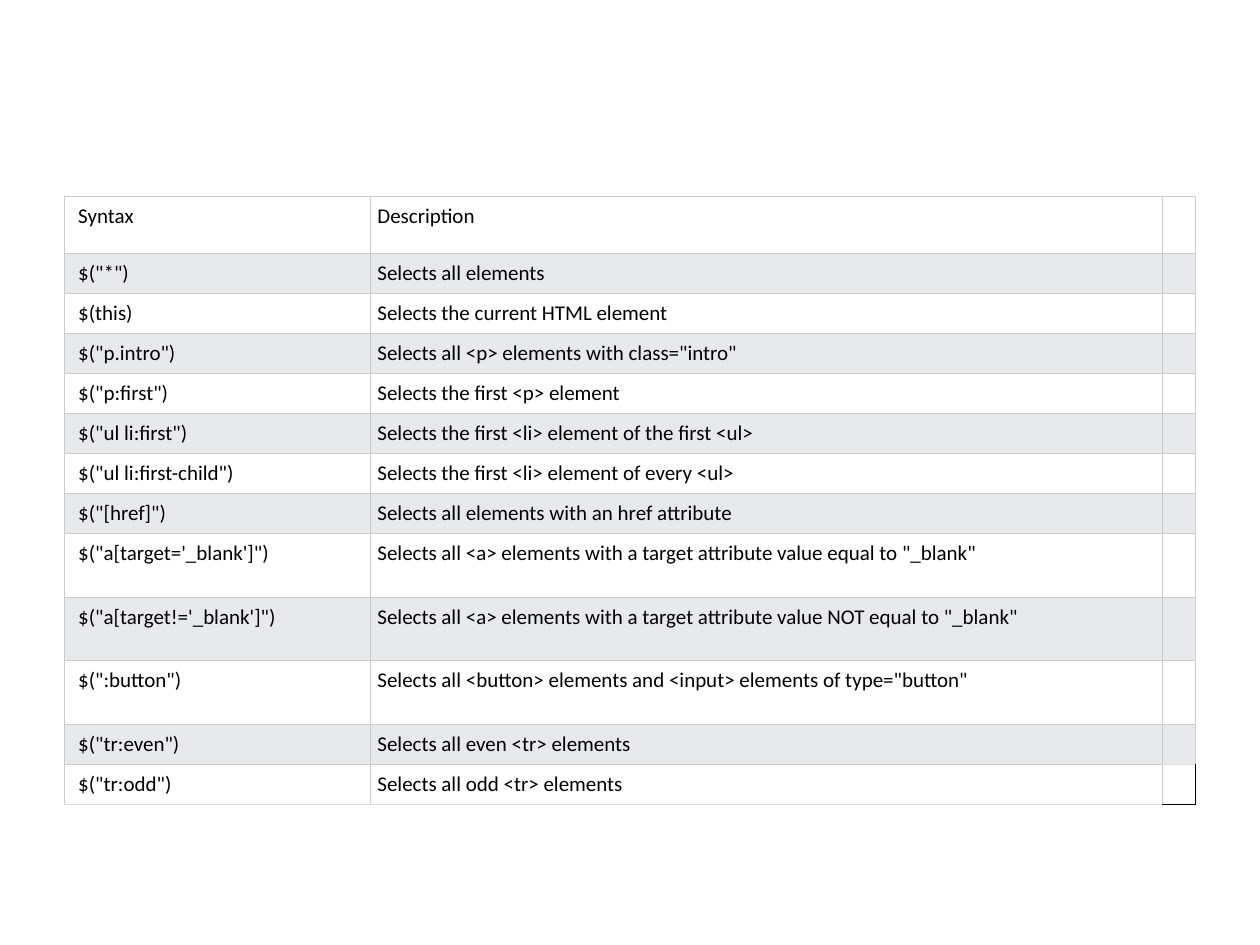
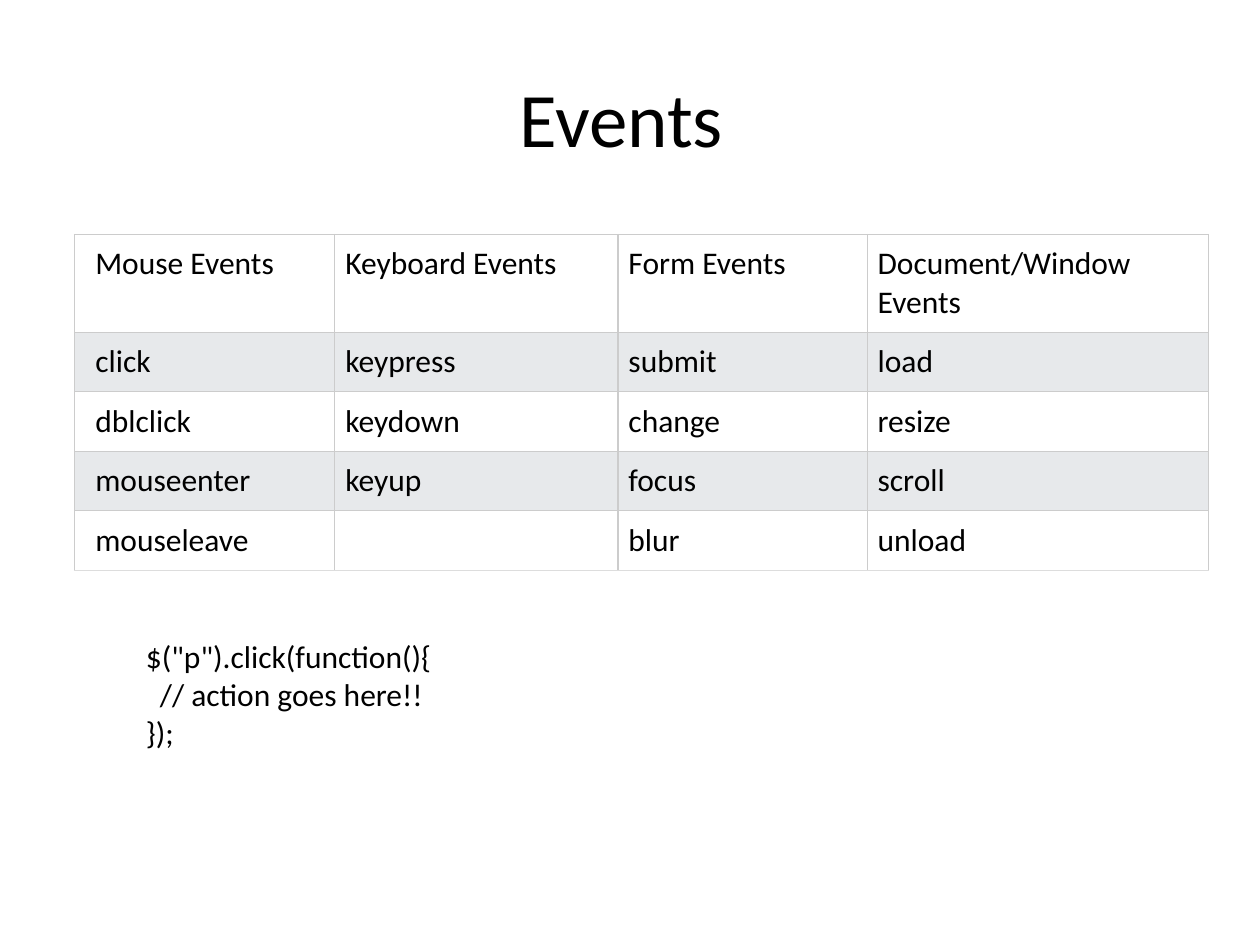
from lxml import etree
from pptx import Presentation, util as u
from pptx.dml.color import RGBColor
from pptx.enum import text as t
from pptx.oxml.ns import qn

HUES = {"ink": "000000", "page": "FFFFFF", "band": "E7E9EB",
        "rule": "CCCCCC", "foot": "DDDDDD"}
FONT = "Calibri"
WIDE, HIGH = u.Inches(10), u.Inches(7.5)

# Boxes are left, top, width, height in percent of the slide.
TITLE = (5, 4, 90, 16.67)
PICKS = (5.1, 20.75, 89.8, 64.4)
EVENTS = (5.9, 24.8, 90, 35.4)
CODE = (10.6, 66.8, 72.4, 13.5)

SYNTAX = [
    ("Syntax", "Description"),
    ('$("*")', "Selects all elements"),
    ("$(this)", "Selects the current HTML element"),
    ('$("p.intro")', 'Selects all <p> elements with class="intro"'),
    ('$("p:first")', "Selects the first <p> element"),
    ('$("ul li:first")', "Selects the first <li> element of the first <ul>"),
    ('$("ul li:first-child")', "Selects the first <li> element of every <ul>"),
    ('$("[href]")', "Selects all elements with an href attribute"),
    ("$(\"a[target='_blank']\")",
     'Selects all <a> elements with a target attribute value equal to "_blank"'),
    ("$(\"a[target!='_blank']\")",
     'Selects all <a> elements with a target attribute value NOT equal to "_blank"'),
    ('$(":button")',
     'Selects all <button> elements and <input> elements of type="button"'),
    ('$("tr:even")', "Selects all even <tr> elements"),
    ('$("tr:odd")', "Selects all odd <tr> elements"),
]
KINDS = [
    ("Mouse Events", "Keyboard Events", "Form Events", "Document/Window Events"),
    ("click", "keypress", "submit", "load"),
    ("dblclick", "keydown", "change", "resize"),
    ("mouseenter", "keyup", "focus", "scroll"),
    ("mouseleave", "", "blur", "unload"),
]


def scale(box):
    """Turn a box in percent into slide lengths."""
    return [int(part * side / 100) for part, side in zip(box, (WIDE, HIGH) * 2)]


def split(total, parts):
    """Share a length out in proportion to the parts."""
    return [int(total * part / sum(parts)) for part in parts]


def write(frame, words, size=18, hue="ink", align=t.PP_ALIGN.LEFT, dents=()):
    """Fill a frame, one paragraph a line; dents maps lines to indents in points."""
    for i, line in enumerate(words.split("\n")):
        para = frame.paragraphs[0] if i == 0 else frame.add_paragraph()
        para.alignment = align
        if i in dents:
            para._p.get_or_add_pPr().set("marL", str(u.Pt(dents[i])))
        if not line:
            etree.SubElement(para._p, qn("a:endParaRPr"), sz=str(size * 100))
            continue
        run = para.add_run()
        run.text = line
        run.font.size, run.font.name = u.Pt(size), FONT
        run.font.color.rgb = RGBColor.from_string(HUES[hue])


def edge(cell, **hues):
    """Draw the sides L, R, T and B of a cell in the named colours."""
    props = cell._tc.get_or_add_tcPr()
    for side in "LRTB":
        line = etree.SubElement(props, qn("a:ln" + side), w=str(u.Pt(0.75)))
        fill = etree.SubElement(line, qn("a:solidFill"))
        etree.SubElement(fill, qn("a:srgbClr"), val=HUES[hues.get(side, "rule")])


def grid(slide, box, data, cols, rows, size, odd=None):
    """Add a banded table; odd maps (row, column) to its own edge colours."""
    left, top, width, height = scale(box)
    table = slide.shapes.add_table(len(rows), len(cols), left, top,
                                   width, height).table
    table.first_row = table.horz_banding = False
    for col, span in zip(table.columns, split(width, cols)):
        col.width = span
    for row, span in zip(table.rows, split(height, rows)):
        row.height = span
    pad, last = u.Pt(size / 3), len(rows) - 1
    for r, line in enumerate(data):
        for c in range(len(cols)):
            cell = table.cell(r, c)
            cell.margin_left = pad if c else pad * 2
            cell.margin_right = cell.margin_top = cell.margin_bottom = pad
            plain = {"B": "foot"} if r == last else {}
            edge(cell, **(odd or {}).get((r, c), plain))
            cell.fill.solid()
            cell.fill.fore_color.rgb = RGBColor.from_string(
                HUES["band" if r % 2 else "page"])
            write(cell.text_frame, line[c] if c < len(line) else "", size)


def head(slide, words):
    title = slide.shapes.title
    title.left, title.top, title.width, title.height = scale(TITLE)
    title.text_frame.vertical_anchor = t.MSO_ANCHOR.MIDDLE
    write(title.text_frame, words, size=44, align=t.PP_ALIGN.CENTER)


def code(slide, box, words, dents):
    frame = slide.shapes.add_textbox(*scale(box)).text_frame
    frame.word_wrap = True
    frame.auto_size = t.MSO_AUTO_SIZE.SHAPE_TO_FIT_TEXT
    write(frame, words, dents=dents)


def picks(deck):
    """Slide with the table of selectors."""
    slide = deck.slides.add_slide(deck.slide_layouts[6])
    rows = [0.46] + [0.32] * 7 + [0.51] * 3 + [0.32] * 2
    end = len(rows) - 1
    grid(slide, PICKS, SYNTAX, (2.43, 6.29, 0.26), rows, 12,
         odd={(end - 1, 2): {"B": "foot"},
              (end, 2): {"T": "foot", "R": "ink", "B": "ink"}})


def events(deck):
    """Slide with the table of events and a code sample."""
    slide = deck.slides.add_slide(deck.slide_layouts[5])
    head(slide, "Events ")
    grid(slide, EVENTS, KINDS, (2.07, 2.25, 1.98, 2.71),
         [0.78] + [0.47] * 4, 18)
    code(slide, CODE, '$("p").click(function(){\n// action goes here!!\n});',
         dents={1: 8})


def main():
    deck = Presentation()
    deck.slide_width, deck.slide_height = WIDE, HIGH
    picks(deck)
    events(deck)
    deck.save("out.pptx")


if __name__ == "__main__":
    main()
